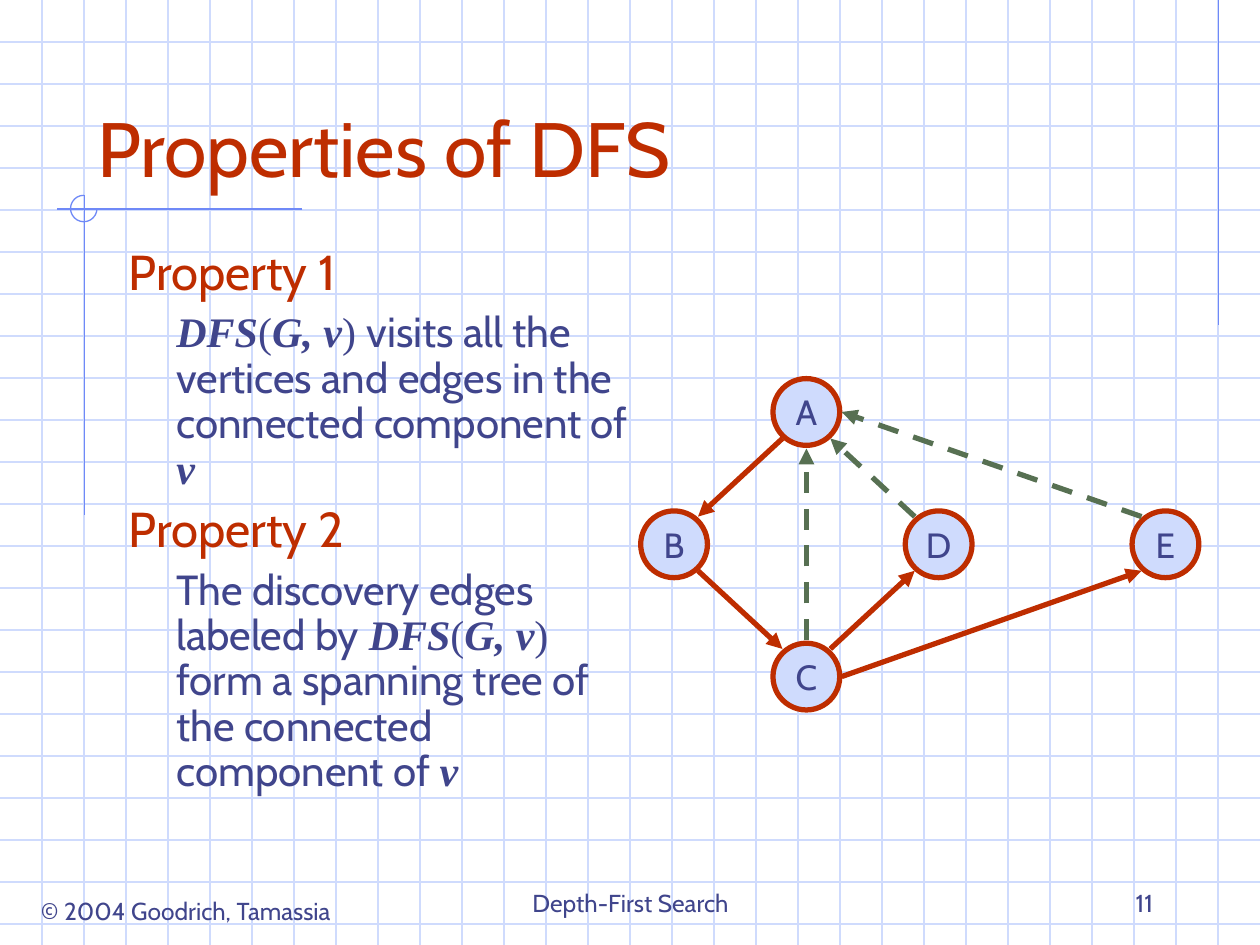
from dataclasses import dataclass

from lxml import etree
from pptx import Presentation
from pptx.dml.color import RGBColor
from pptx.enum.dml import MSO_LINE
from pptx.enum.shapes import MSO_CONNECTOR, MSO_SHAPE
from pptx.enum.text import MSO_ANCHOR, MSO_AUTO_SIZE, PP_ALIGN
from pptx.oxml.ns import qn
from pptx.util import Inches, Pt

STRAIGHT = MSO_CONNECTOR.STRAIGHT
DASH = MSO_LINE.DASH
ELLIPSE, ARC = MSO_SHAPE.OVAL, MSO_SHAPE.ARC
TOP, MIDDLE, BOTTOM = MSO_ANCHOR.TOP, MSO_ANCHOR.MIDDLE, MSO_ANCHOR.BOTTOM
LEFT, CENTER, RIGHT = PP_ALIGN.LEFT, PP_ALIGN.CENTER, PP_ALIGN.RIGHT
FIXED = MSO_AUTO_SIZE.NONE

WIDTH, HEIGHT = 10, 7.5
NODE_SIZE = 0.53


@dataclass(frozen=True)
class Theme:
    """Colours, fonts and sizes of the slide."""

    text: str = "40458C"
    accent: str = "BE2D00"
    back_edge: str = "577052"
    grid: str = "CFDBFD"
    ornament: str = "6F89F7"
    font: str = "Cabin"
    math_font: str = "Times New Roman"
    title: int = 44
    heading: int = 28
    body: int = 24
    node: int = 20
    footer: int = 14
    thin: float = 0.75
    thick: float = 3


class SlideBuilder:
    """Draws styled elements on one slide."""

    def __init__(self, slide, theme):
        self.slide, self.theme = slide, theme

    def apply(self, target, **formats):
        for name, value in formats.items():
            setattr(target, name, value)

    def outline(self, line, color, width):
        line.color.rgb = RGBColor.from_string(color)
        line.width = Pt(width)

    def run(self, paragraph, text, size, color, math=False, strong=False):
        run = paragraph.add_run()
        run.text = text
        name = self.theme.math_font if math else self.theme.font
        self.apply(run.font, name=name, size=Pt(size), bold=strong, italic=strong)
        run.font.color.rgb = RGBColor.from_string(color)

    def frame(self, shape, anchor, wrap=True):
        self.apply(shape.text_frame, auto_size=FIXED, word_wrap=wrap,
                   vertical_anchor=anchor,
                   margin_left=Inches(0.1), margin_right=Inches(0.1),
                   margin_top=Inches(0.05), margin_bottom=Inches(0.05))
        return shape.text_frame

    def label(self, shape, text, size, color, align, anchor, wrap=True):
        paragraph = self.frame(shape, anchor, wrap).paragraphs[0]
        paragraph.alignment = align
        self.run(paragraph, text, size, color)

    def line(self, start, end, color, width, dashed=False, arrow=False):
        points = [Inches(value) for value in (*start, *end)]
        connector = self.slide.shapes.add_connector(STRAIGHT, *points)
        self.outline(connector.line, color, width)
        if dashed:
            connector.line.dash_style = DASH
        properties = connector._element.spPr
        if arrow:
            stroke = properties.find(qn("a:ln"))
            etree.SubElement(stroke, qn("a:tailEnd"), type="triangle")
        etree.SubElement(properties, qn("a:effectLst"))

    def shape(self, kind, box, color, width, fill=None):
        shape = self.slide.shapes.add_shape(kind, *map(Inches, box))
        shape.shadow.inherit = False
        self.outline(shape.line, color, width)
        if fill:
            shape.fill.solid()
            shape.fill.fore_color.rgb = RGBColor.from_string(fill)
        else:
            shape.fill.background()
        return shape

    def grid(self):
        style = self.theme.grid, self.theme.thin
        for row in range(1, 23):
            self.line((0, row / 3), (WIDTH, row / 3), *style)
        for column in range(1, 30):
            self.line((column / 3, 0), (column / 3, HEIGHT), *style)

    def ornaments(self):
        style = self.theme.ornament, self.theme.thin
        self.line((9.67, 0), (9.67, 2.58), *style)
        self.line((2.4, 1.66), (0.45, 1.66), *style)
        self.line((0.67, 1.55), (0.67, 4.09), *style)
        arc = self.shape(ARC, (0.56, 1.55, 0.21, 0.21), *style)
        arc.adjustments[0], arc.adjustments[1] = 0, 162

    def place(self, placeholder, box):
        names = "left", "top", "width", "height"
        self.apply(placeholder, **dict(zip(names, map(Inches, box))))
        self.slide.shapes._spTree.append(placeholder._element)

    def title(self, text, box):
        title = self.slide.shapes.title
        self.place(title, box)
        self.label(title, text, self.theme.title, self.theme.accent, LEFT, BOTTOM)

    def body(self, properties, box):
        placeholder = self.slide.placeholders[1]
        self.place(placeholder, box)
        frame = self.frame(placeholder, TOP)
        for index, (heading, statement) in enumerate(properties):
            first = frame.add_paragraph() if index else frame.paragraphs[0]
            self.item(first, 7, -0.38)
            self.run(first, heading, self.theme.heading, self.theme.accent)
            second = frame.add_paragraph()
            self.item(second, 6, 0)
            for text, formats in statement:
                self.run(second, text, self.theme.body, self.theme.text, **formats)

    def item(self, paragraph, space, indent):
        self.apply(paragraph, alignment=LEFT, line_spacing=0.9,
                   space_before=Pt(space))
        layout = paragraph._p.get_or_add_pPr()
        layout.set("marL", str(Inches(0.38)))
        layout.set("indent", str(Inches(indent)))
        etree.SubElement(layout, qn("a:buNone"))

    def node(self, name, center):
        x, y = (value - NODE_SIZE / 2 for value in center)
        circle = self.shape(ELLIPSE, (x, y, NODE_SIZE, NODE_SIZE),
                            self.theme.accent, self.theme.thick, self.theme.grid)
        self.label(circle, name, self.theme.node, self.theme.text,
                   CENTER, MIDDLE, wrap=False)

    def footer(self, text, box, align, anchor=BOTTOM, wrap=True):
        note = self.slide.shapes.add_textbox(*map(Inches, box))
        self.label(note, text, self.theme.footer, self.theme.text,
                   align, anchor, wrap)


PLAIN, MATH, STRONG = {}, {"math": True}, {"math": True, "strong": True}
CALL = [("DFS", STRONG), ("(", MATH), ("G, v", STRONG), (") ", MATH)]
VERTEX = ("v", STRONG)
PROPERTIES = [
    ("Property 1", [*CALL, ("visits all the vertices and edges in the "
                            "connected component of ", PLAIN), VERTEX]),
    ("Property 2", [("The discovery edges labeled by ", PLAIN), *CALL,
                    ("form a spanning tree of the connected component of ", PLAIN),
                    VERTEX]),
]
NODES = {"A": (6.4, 3.27), "B": (5.35, 4.32), "C": (6.4, 5.37),
         "D": (7.45, 4.32), "E": (9.25, 4.32)}
SIDES = {"N": (0, -0.29), "S": (0, 0.29), "E": (0.28, 0),
         "NW": (-0.19, -0.22), "NE": (0.19, -0.22),
         "SW": (-0.19, 0.21), "SE": (0.19, 0.21)}
DISCOVERY_EDGES = [("A", "SW", "B", "NE"), ("B", "SE", "C", "NW"),
                   ("C", "NE", "D", "SW"), ("C", "E", "E", "SW")]
BACK_EDGES = [("D", "NW", "A", "SE"), ("C", "N", "A", "S"), ("E", "NW", "A", "E")]


def rim(node, side):
    """Return the point where an edge meets a node."""
    return tuple(a + b for a, b in zip(NODES[node], SIDES[side]))


def main():
    """Build and save the slide."""
    deck = Presentation()
    deck.slide_width, deck.slide_height = Inches(WIDTH), Inches(HEIGHT)
    theme = Theme()
    builder = SlideBuilder(deck.slides.add_slide(deck.slide_layouts[1]), theme)
    builder.grid()
    builder.ornaments()
    builder.footer("© 2004 Goodrich, Tamassia", (0.12, 7.06, 2.71, 0.34),
                   CENTER, TOP, wrap=False)
    builder.title("Properties of DFS", (0.67, 0.33, 8.5, 1.25))
    builder.body(PROPERTIES, (0.92, 1.92, 4.17, 4.5))
    for name, center in NODES.items():
        builder.node(name, center)
    for edges, color, dashed in ((DISCOVERY_EDGES, theme.accent, False),
                                 (BACK_EDGES, theme.back_edge, True)):
        for source, leaving, target, entering in edges:
            builder.line(rim(source, leaving), rim(target, entering),
                         color, theme.thick, dashed, arrow=True)
    builder.footer("Depth-First Search", (3.42, 6.83, 3.17, 0.5), CENTER)
    builder.footer("11", (7.17, 6.83, 2.08, 0.5), RIGHT)
    deck.save("out.pptx")


if __name__ == "__main__":
    main()
